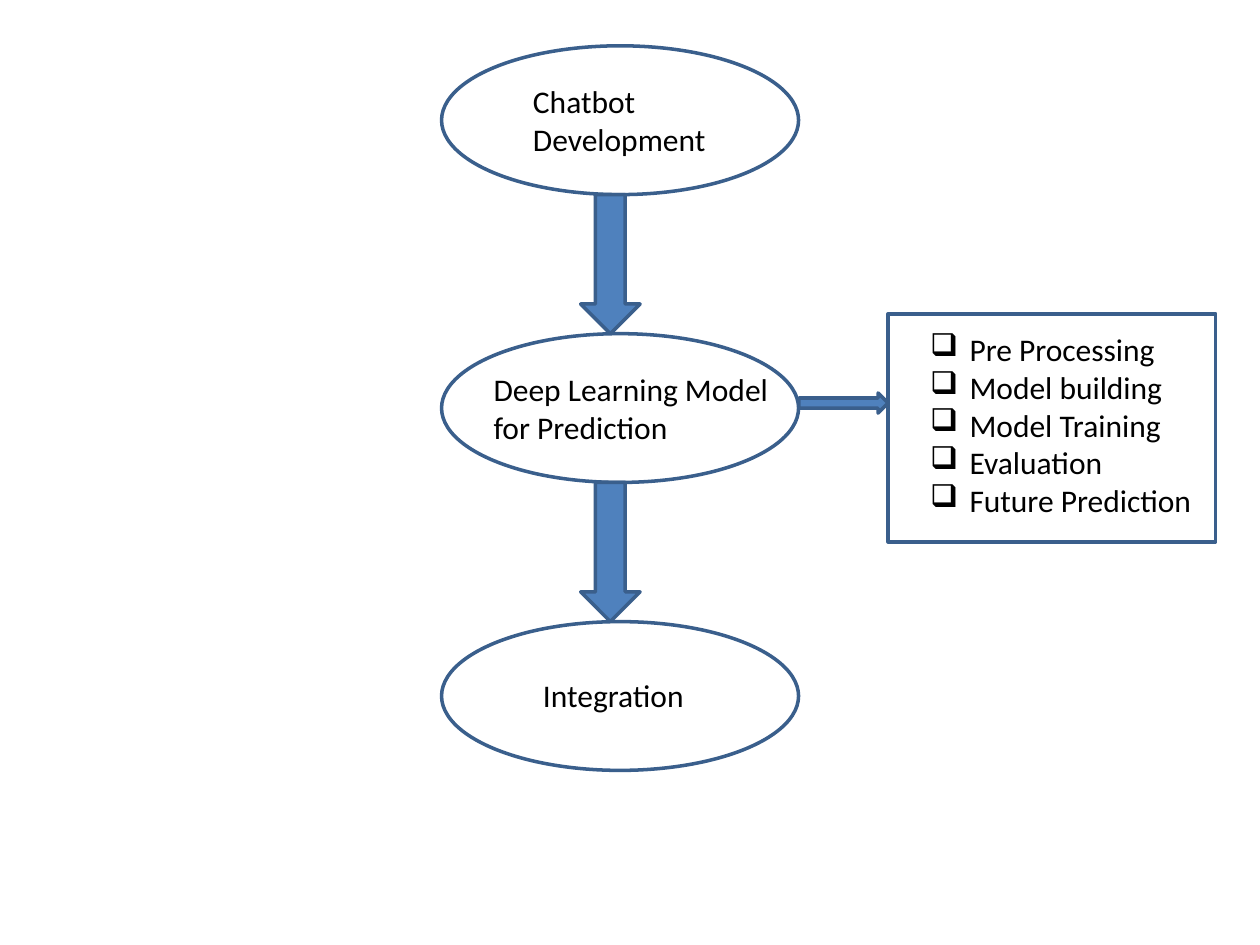
from pptx import Presentation
from pptx.dml.color import RGBColor
from pptx.enum.shapes import MSO_SHAPE
from pptx.enum.text import MSO_AUTO_SIZE
from pptx.util import Pt
from lxml import etree
from pptx.oxml.ns import qn

BLUE = RGBColor(0x4F, 0x81, 0xBD)
OUTLINE = RGBColor(0x3A, 0x5F, 0x8C)
BLACK = RGBColor(0, 0, 0)

# Flow column: equal ovals, with an arrow filling each gap
OVAL_LEFT, OVAL_TOP, OVAL_WIDTH, OVAL_HEIGHT = 252.3, 26.2, 204, 85
STEP = 164.5
ARROW_LEFT, ARROW_WIDTH = 331.8, 34

# Label, left, offset from the oval's top, width, height
STAGES = [
    ("Chatbot Development", 297.5, 17.2, 158.4, 51),
    ("Deep Learning Model for Prediction", 275, 17.2, 175.7, 51),
    ("Integration", 303.2, 27.3, 147.6, 29),
]
TASKS = ["Pre Processing", "Model building", "Model Training",
         "Evaluation", "Future Prediction"]


class FlowPage:
    font = "Calibri"
    size = Pt(18)
    line_width = Pt(2)
    indent = Pt(22.5)

    def __init__(self, deck):
        self.page = deck.slides.add_slide(deck.slide_layouts[6])

    def shape(self, kind, left, top, width, height, fill=None):
        shape = self.page.shapes.add_shape(
            kind, Pt(left), Pt(top), Pt(width), Pt(height))
        shape.shadow.inherit = False
        if fill is None:
            shape.fill.background()
        else:
            shape.fill.solid()
            shape.fill.fore_color.rgb = fill
        shape.line.color.rgb = OUTLINE
        shape.line.width = self.line_width
        return shape

    def text(self, text, left, top, width, height):
        box = self.page.shapes.add_textbox(
            Pt(left), Pt(top), Pt(width), Pt(height))
        frame = box.text_frame
        frame.word_wrap = True
        frame.auto_size = MSO_AUTO_SIZE.SHAPE_TO_FIT_TEXT
        frame.text = text
        for para in frame.paragraphs:
            for span in para.runs:
                span.font.name = self.font
                span.font.size = self.size
                span.font.color.rgb = BLACK
        return box

    def checklist(self, items, left, top, width, height):
        box = self.text("\n".join(items), left, top, width, height)
        for para in box.text_frame.paragraphs:
            properties = para._p.get_or_add_pPr()
            properties.set("marL", str(self.indent))
            properties.set("indent", str(-self.indent))
            etree.SubElement(properties, qn("a:buChar"), char="❑")
        return box


def main():
    deck = Presentation()
    deck.slide_width, deck.slide_height = Pt(720), Pt(540)
    flow = FlowPage(deck)

    # Stages and the arrows between them
    for index, (label, left, offset, width, height) in enumerate(STAGES):
        top = OVAL_TOP + index * STEP
        flow.shape(MSO_SHAPE.OVAL, OVAL_LEFT, top, OVAL_WIDTH, OVAL_HEIGHT)
        flow.text(label, left, top + offset, width, height)
        if index < len(STAGES) - 1:
            flow.shape(MSO_SHAPE.DOWN_ARROW, ARROW_LEFT, top + OVAL_HEIGHT,
                       ARROW_WIDTH, STEP - OVAL_HEIGHT, BLUE)

    # Tasks of the prediction model
    flow.shape(MSO_SHAPE.RIGHT_ARROW, 456.5, 224.6, 51, 11.5, BLUE)
    flow.shape(MSO_SHAPE.RECTANGLE, 507.5, 179.3, 187.2, 130.3)
    flow.checklist(TASKS, 524.4, 185, 170, 116.6)

    deck.save("out.pptx")


if __name__ == "__main__":
    main()
